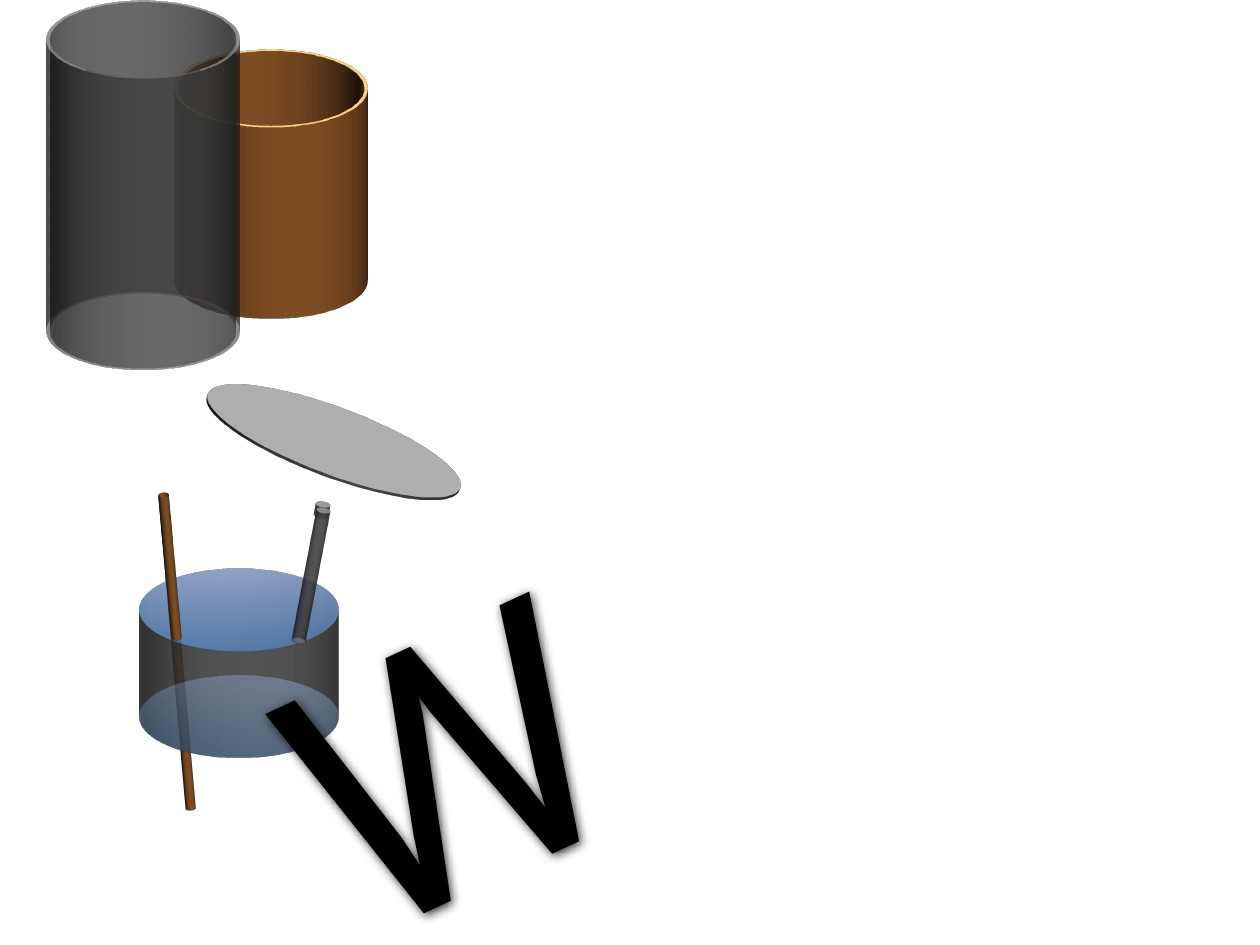
from dataclasses import dataclass

from lxml import etree
from pptx import Presentation
from pptx.dml.color import RGBColor
from pptx.enum.shapes import MSO_SHAPE
from pptx.oxml.ns import qn
from pptx.util import Emu, Pt

RING = MSO_SHAPE.DONUT
OVAL = MSO_SHAPE.OVAL
PX = 914400 / 126
DEGREE = 60000


@dataclass(frozen=True)
class Theme:
    font: str = "Roboto"
    letter_size: int = 199
    outline_size: float = 4.5
    ink: str = "000000"
    copper: str = "F79646"
    steel: str = "7F7F7F"
    grey: str = "808080"
    liquid_low: str = "3F80CE"
    liquid_high: str = "A4C4FF"
    liquid_rim: str = "4B7EBC"


def px(length):
    return Emu(round(length * PX))


def add_color(parent, color, opacity=100):
    node = etree.SubElement(parent, qn("a:srgbClr"), val=color)
    if opacity < 100:
        etree.SubElement(node, qn("a:alpha"), val=str(opacity * 1000))
    return node


class Painter:
    def __init__(self, slide, theme):
        self.slide = slide
        self.theme = theme

    def solid(self, kind, left, top, width, height, depth, color, opacity=100,
              ring=None, rim=None, turn=0, tilt=294.5, lean=0):
        """Extrude a flat outline downwards; lean turns it anticlockwise in view."""
        shape = self.slide.shapes.add_shape(
            kind, px(left), px(top), px(width), px(height))
        shape.shadow.inherit = False
        shape.rotation = turn
        if ring is not None:
            shape.adjustments[0] = ring
        shape.fill.solid()
        shape.fill.fore_color.rgb = RGBColor.from_string(color)
        if opacity < 100:
            tone = shape.element.spPr.find(qn("a:solidFill"))[0]
            etree.SubElement(tone, qn("a:alpha"), val=str(opacity * 1000))
        if rim:
            shape.line.color.rgb = RGBColor.from_string(rim)
            shape.line.width = Pt(0.75)
        else:
            shape.line.fill.background()
        self.extrude(shape, depth, tilt, lean)
        return shape

    def extrude(self, shape, depth, tilt, lean):
        properties = shape.element.spPr
        scene = etree.SubElement(properties, qn("a:scene3d"))
        camera = etree.SubElement(scene, qn("a:camera"), prst="orthographicFront")
        etree.SubElement(camera, qn("a:rot"), lat=str(round(tilt * DEGREE)), lon="0",
                         rev=str(round(lean % 360 * DEGREE)))
        etree.SubElement(scene, qn("a:lightRig"), rig="threePt", dir="t")
        etree.SubElement(properties, qn("a:sp3d"), extrusionH=str(px(depth)))

    def liquid(self, left, top, size, depth):
        theme = self.theme
        shape = self.solid(OVAL, left, top, size, size, depth, theme.grey,
                           rim=theme.liquid_rim)
        shape.fill.gradient()
        fill = shape.element.spPr.find(qn("a:gradFill"))
        stops = fill.find(qn("a:gsLst"))
        for stop in list(stops):
            stops.remove(stop)
        for percent, color in ((0, theme.liquid_low), (100, theme.liquid_high)):
            stop = etree.SubElement(stops, qn("a:gs"), pos=str(percent * 1000))
            add_color(stop, color, 43)
        fill.find(qn("a:lin")).set("ang", str(270 * DEGREE))
        side = etree.SubElement(shape.element.spPr.find(qn("a:sp3d")),
                                qn("a:extrusionClr"))
        add_color(side, theme.grey)

    def letter(self, text, left, top, width, height, turn):
        theme = self.theme
        box = self.slide.shapes.add_textbox(px(left), px(top), px(width), px(height))
        box.rotation = turn
        box.text_frame.word_wrap = True
        box.text_frame.text = text
        para = box.text_frame.paragraphs[0]
        para.line_spacing = 0.5
        font = para.runs[0].font
        font.name = theme.font
        font.size = Pt(theme.letter_size)
        font.color.rgb = RGBColor.from_string(theme.ink)
        outline = etree.Element(qn("a:ln"), w=str(Pt(theme.outline_size)))
        add_color(etree.SubElement(outline, qn("a:solidFill")), theme.ink)
        font._element.insert(0, outline)
        effects = etree.SubElement(box.element.spPr, qn("a:effectLst"))
        shadow = etree.SubElement(effects, qn("a:outerShdw"), blurRad=str(Pt(6)),
                                  dist=str(Pt(1)), dir="2700000", rotWithShape="0")
        add_color(shadow, theme.ink, 80)


def main():
    theme = Theme()
    deck = Presentation()
    deck.slide_width, deck.slide_height = px(1260), px(945)
    page = deck.slides.add_slide(deck.slide_layouts[6])
    painter = Painter(page, theme)

    painter.solid(RING, 174, -5, 193, 188, 210, theme.copper, ring=0.02)
    painter.solid(RING, 47, -54, 193, 188, 319, theme.steel, 54, ring=0.02)

    copper_rod = dict(color=theme.copper, ring=0, rim=theme.copper, lean=4.9)
    steel_rod = dict(color=theme.grey, opacity=67, lean=-10.7)
    painter.solid(OVAL, 316, 498, 14, 14, 12, **steel_rod)
    painter.solid(RING, 159, 491, 10, 10, 344, **copper_rod)
    painter.liquid(140, 510, 199, 117)
    painter.solid(RING, 159, 490, 10, 11, 157, **copper_rod)
    painter.solid(OVAL, 316, 504, 14, 14, 145, **steel_rod)

    painter.solid(OVAL, 200, 314, 268, 254, 3, theme.grey, turn=9.5,
                  tilt=285.3, lean=-11)
    painter.letter("W", 314, 702, 368, 258, -24.9)
    deck.save("out.pptx")


if __name__ == "__main__":
    main()
